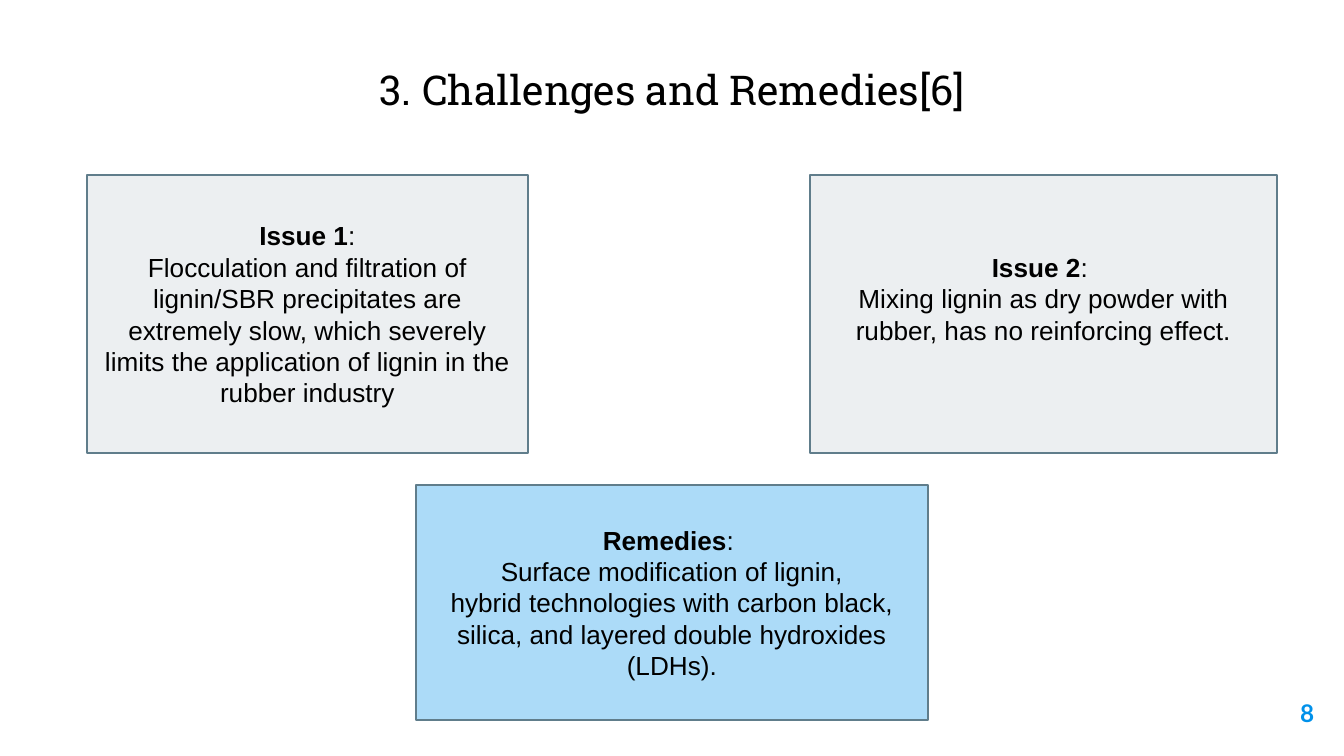
import pptx
import pptx.util
from pptx.dml.color import RGBColor
from pptx.enum.shapes import MSO_SHAPE
from pptx.enum.text import MSO_ANCHOR, PP_ALIGN

BLACK = RGBColor(0x00, 0x00, 0x00)
GREY = RGBColor(0xEC, 0xEF, 0xF1)
SKY = RGBColor(0xAC, 0xDB, 0xF8)
SLATE = RGBColor(0x60, 0x7D, 0x8B)
BLUE = RGBColor(0x00, 0x91, 0xEA)

# Content: boxes are (left, top, width, height) in px
TITLE = ("3. Challenges and Remedies[6]", (284, 51, 777, 77))
NUMBER = ("8", (1246, 685, 81, 58))
INSET = 13
LINE = 31  # height of one line of card text
CARDS = [
    # heading, text after it, body paragraphs, box, fill, bottom inset
    ("Issue 1", ":",
     ["Flocculation and filtration of lignin/SBR precipitates are extremely "
      "slow, which severely limits the application of lignin in the rubber "
      "industry"],
     (87, 175, 441, 278), GREY, INSET),
    ("Issue 2", ": ",
     ["Mixing lignin as dry powder with rubber, has no reinforcing effect."],
     (810, 175, 467, 278), GREY, INSET + LINE),
    ("Remedies", ": ",
     ["Surface modification of lignin,",
      "hybrid technologies with carbon black, silica, and layered double "
      "hydroxides (LDHs)."],
     (416, 485, 512, 235), SKY, INSET),
]


def px(n):
    return pptx.util.Emu(round(n * 914400 / 134.4))


def set_frame(tf, anchor, bottom=INSET):
    tf.word_wrap = True
    tf.vertical_anchor = anchor
    tf.margin_left = tf.margin_right = tf.margin_top = px(INSET)
    tf.margin_bottom = px(bottom)


def add_run(p, text, font, size, color, bold=False):
    r = p.add_run()
    r.text = text
    r.font.name = font
    r.font.size = pptx.util.Pt(size)
    r.font.bold = bold
    r.font.color.rgb = color


def add_label(s, text, box, align, font, size, color, bold=False):
    tf = s.shapes.add_textbox(*map(px, box)).text_frame
    set_frame(tf, MSO_ANCHOR.TOP)
    p = tf.paragraphs[0]
    p.alignment = align
    add_run(p, text, font, size, color, bold)


def add_card(s, heading, colon, body, box, fill, bottom):
    sp = s.shapes.add_shape(MSO_SHAPE.RECTANGLE, *map(px, box))
    sp.shadow.inherit = False
    sp.fill.solid()
    sp.fill.fore_color.rgb = fill
    sp.line.color.rgb = SLATE
    sp.line.width = pptx.util.Pt(0.75)
    tf = sp.text_frame
    set_frame(tf, MSO_ANCHOR.MIDDLE, bottom)
    p = tf.paragraphs[0]
    add_run(p, heading, "Arial", 14, BLACK, bold=True)
    add_run(p, colon, "Arial", 14, BLACK)
    for text in body:
        add_run(tf.add_paragraph(), text, "Arial", 14, BLACK)
    for p in tf.paragraphs:
        p.alignment = PP_ALIGN.CENTER


prs = pptx.Presentation()
prs.slide_width, prs.slide_height = px(1344), px(756)
s = prs.slides.add_slide(prs.slide_layouts[6])

# Title, cards, slide number
add_label(s, *TITLE, PP_ALIGN.CENTER, "Roboto Slab", 22, BLACK)
for card in CARDS:
    add_card(s, *card)
add_label(s, *NUMBER, PP_ALIGN.RIGHT, "Lato", 13, BLUE, bold=True)

prs.save("out.pptx")
